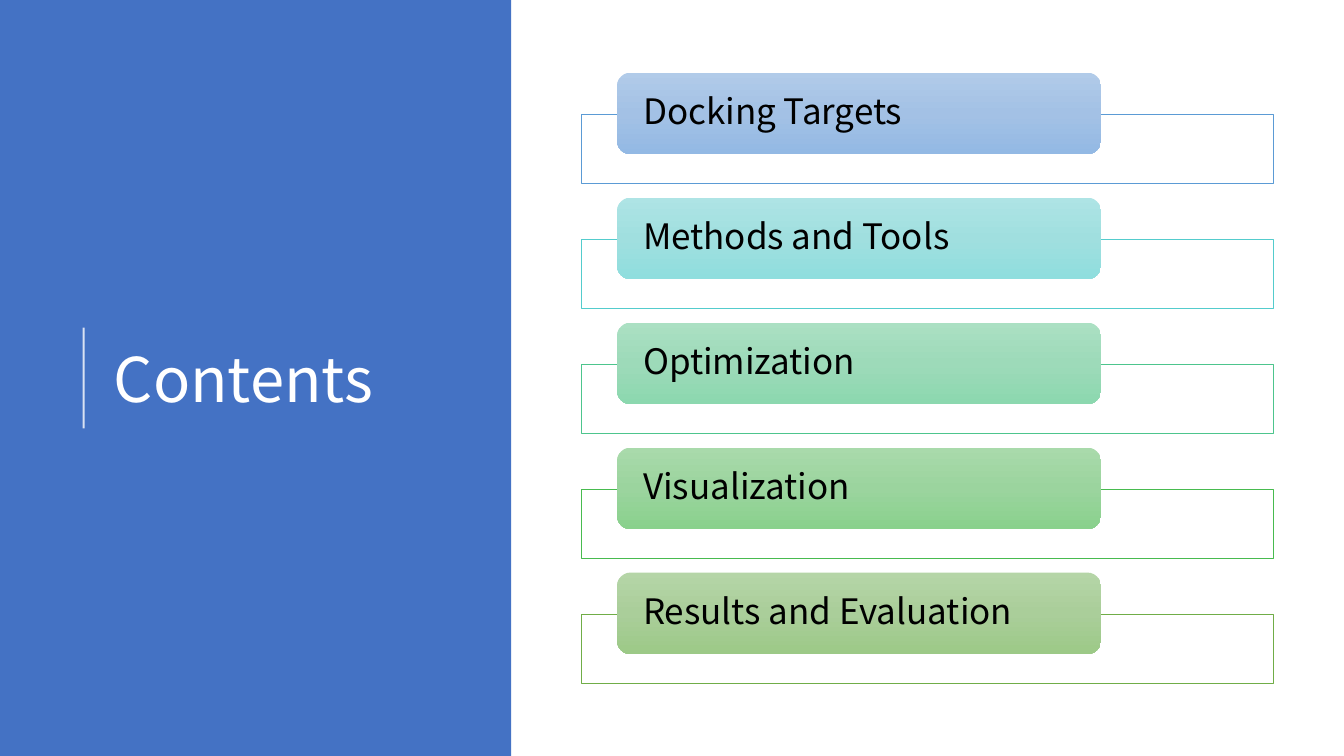
import copy
import pptx
import pptx.util
import pptx.dml.color
import pptx.enum.shapes
import pptx.enum.text
import pptx.oxml
import pptx.oxml.ns
from pptx.util import Inches

FONT = "Noto Sans CJK SC"
TITLE = "Contents"
# topic, frame line colour, gradient from top to bottom
TOPICS = [
    ("Docking Targets", "5B9BD5", ("B1CBE9", "A3C1E5", "93B9E4")),
    ("Methods and Tools", "54CCCD", ("AEE4E5", "A0DFDF", "8FDEDE")),
    ("Optimization", "4DC58D", ("ABE0C3", "9DDAB9", "8CD8AF")),
    ("Visualization", "48BB4F", ("A9DAAB", "9BD49E", "89D18C")),
    ("Results and Evaluation", "70AD47", ("B5D5A7", "AACE9A", "9CC987")),
]
FIRST_TOP, PITCH, FRAME_DROP = 0.72, 1.24, 0.41
SHAPES = pptx.enum.shapes.MSO_SHAPE
qn = pptx.oxml.ns.qn


def rgb(value):
    return pptx.dml.color.RGBColor.from_string(value)


def set_alpha(parent, percent):
    """Make the first RGB colour below parent partly transparent."""
    color = next(parent.iter(qn("a:srgbClr")))
    color.append(color.makeelement(qn("a:alpha"), {"val": str(percent * 1000)}))


def add_box(s, preset, left, top, width, height):
    sp = s.shapes.add_shape(preset, Inches(left), Inches(top), Inches(width), Inches(height))
    sp.shadow.inherit = False
    sp.line.fill.background()
    return sp


def set_gradient(sp, colors):
    sp.fill.gradient()
    sp.fill.gradient_angle = 270
    stop_list = next(sp._element.spPr.iter(qn("a:gsLst")))
    stop_list.insert(1, copy.deepcopy(stop_list[0]))
    for i, (stop, color) in enumerate(zip(sp.fill.gradient_stops, colors)):
        stop.position = i / 2
        stop.color.rgb = rgb(color)


def set_text(sp, text, size, color, inset_x, inset_y):
    tf = sp.text_frame
    tf.word_wrap = True
    tf.vertical_anchor = pptx.enum.text.MSO_ANCHOR.MIDDLE
    tf.margin_left = tf.margin_right = Inches(inset_x)
    tf.margin_top = tf.margin_bottom = Inches(inset_y)
    p = tf.paragraphs[0]
    p.text = text
    p.alignment = pptx.enum.text.PP_ALIGN.LEFT
    p.line_spacing = 0.9
    p.font.name = FONT
    p.font.size = pptx.util.Pt(size)
    p.font.color.rgb = rgb(color)


def add_topic(s, top, text, line_color, gradient):
    frame = add_box(s, SHAPES.RECTANGLE, 5.77, top + FRAME_DROP, 6.86, 0.69)
    frame.fill.solid()
    frame.fill.fore_color.rgb = rgb("FFFFFF")
    set_alpha(frame._element.spPr, 90)
    frame.line.color.rgb = rgb(line_color)
    frame.line.width = pptx.util.Pt(0.5)
    label = add_box(s, SHAPES.ROUNDED_RECTANGLE, 6.12, top, 4.8, 0.81)
    set_gradient(label, gradient)
    set_text(label, text, 25, "000000", 0.22, 0.04)


def main():
    prs = pptx.Presentation()
    prs.slide_width, prs.slide_height = Inches(13.33), Inches(7.5)
    s = prs.slides.add_slide(prs.slide_layouts[6])

    panel = add_box(s, SHAPES.RECTANGLE, 0, 0, 5.07, 7.5)
    panel.fill.solid()
    panel.fill.fore_color.rgb = rgb("4472C4")

    rule = s.shapes.add_connector(
        pptx.enum.shapes.MSO_CONNECTOR.STRAIGHT,
        Inches(0.83), Inches(4.25), Inches(0.83), Inches(3.25))
    rule.line.color.rgb = rgb("FFFFFF")
    rule.line.width = pptx.util.Pt(1.5)
    set_alpha(rule._element.spPr, 80)
    rule._element.spPr.append(pptx.oxml.parse_xml(
        "<a:effectLst %s/>" % pptx.oxml.ns.nsdecls("a")))

    for i, topic in enumerate(TOPICS):
        add_topic(s, FIRST_TOP + i * PITCH, *topic)

    title = s.shapes.add_textbox(Inches(1.03), Inches(0.78), Inches(3.69), Inches(6.02))
    set_text(title, TITLE, 44, "FFFFFF", 0.1, 0.05)

    prs.save("out.pptx")


if __name__ == "__main__":
    main()
